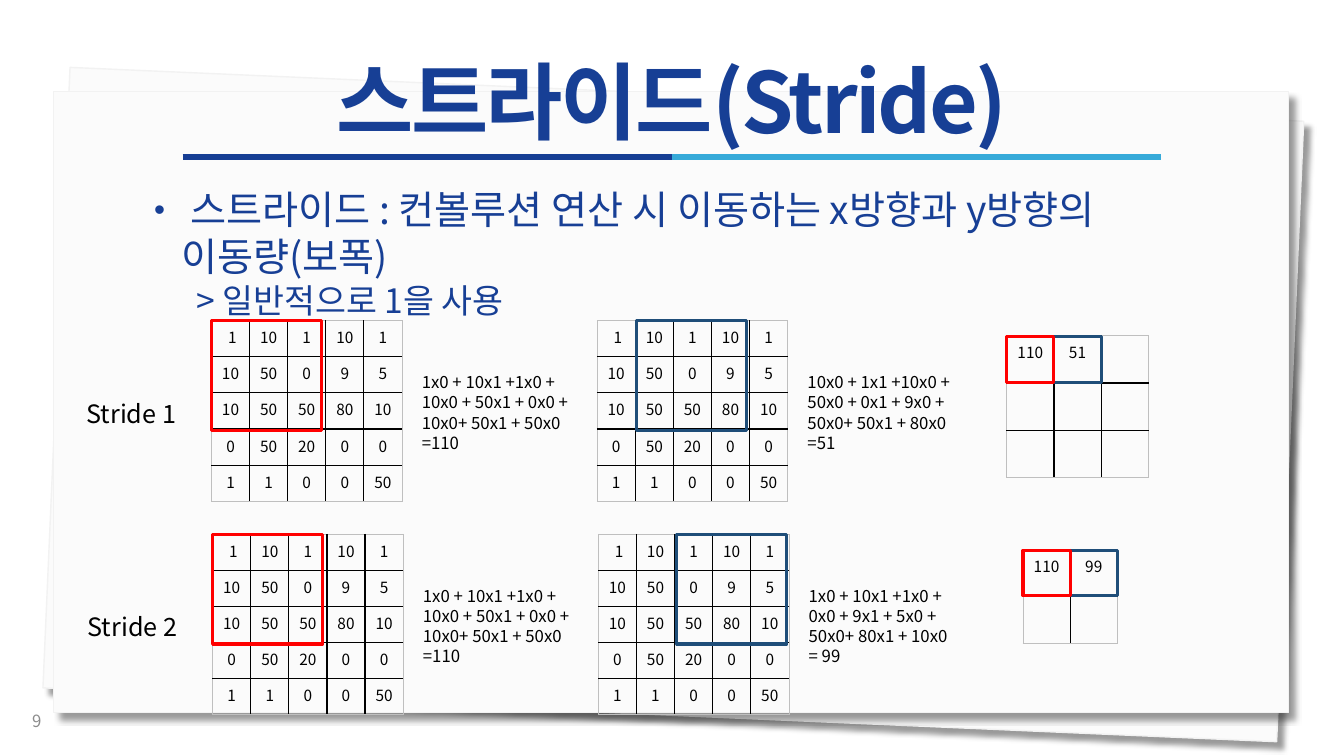
import pptx
import pptx.util
import pptx.dml.color
import pptx.enum.shapes
import pptx.enum.text
import pptx.oxml
import pptx.oxml.ns

Cm, Pt = pptx.util.Cm, pptx.util.Pt
ALIGN, ANCHOR = pptx.enum.text.PP_ALIGN, pptx.enum.text.MSO_ANCHOR
FONT = "Noto Sans CJK KR"
NAVY, SKY, BLACK, RED, STEEL = "173F95", "36AAD9", "000000", "FF0000", "1F4E79"
NS = pptx.oxml.ns.nsdecls("a")

PIXELS = [[" 1", 10, 1, 10, 1],
          [10, 50, 0, 9, 5],
          [10, 50, 50, 80, 10],
          [0, 50, 20, 0, 0],
          [1, 1, 0, 0, 50]]
FIRST_SUM = ["1x0 + 10x1 +1x0 +", "10x0 + 50x1 + 0x0 +", "10x0+ 50x1 + 50x0", "=110"]
STRIDE_1_SUM = ["10x0 + 1x1 +10x0 +", "50x0 + 0x1 + 9x0 +", "50x0+ 50x1 + 80x0", "=51"]
STRIDE_2_SUM = ["1x0 + 10x1 +1x0 +", "0x0 + 9x1 + 5x0 +", "50x0+ 80x1 + 10x0", "= 99"]


def color(value):
    return pptx.dml.color.RGBColor.from_string(value)


def write(p, text, size=12, fill=BLACK, bold=False, align=None, spacing=1.0):
    p.alignment, p.line_spacing = align, spacing
    p.space_before = p.space_after = Pt(0)
    r = p.add_run()
    r.text = text
    r.font.name, r.font.size, r.font.bold = FONT, Pt(size), bold
    r.font.color.rgb = color(fill)
    r._r.get_or_add_rPr().append(pptx.oxml.parse_xml(f'<a:ea {NS} typeface="{FONT}"/>'))
    return r


def add_text(s, x, y, w, h, lines, anchor=ANCHOR.TOP, **fmt):
    tf = s.shapes.add_textbox(Cm(x), Cm(y), Cm(w), Cm(h)).text_frame
    tf.word_wrap, tf.vertical_anchor = True, anchor
    for i, line in enumerate(lines):
        write(tf.add_paragraph() if i else tf.paragraphs[0], line, **fmt)


def add_frame(s, x, y, w, h, line, weight=2.25, fill=None):
    sp = s.shapes.add_shape(pptx.enum.shapes.MSO_SHAPE.RECTANGLE, Cm(x), Cm(y), Cm(w), Cm(h))
    sp.shadow.inherit = False
    if fill:
        sp.fill.solid()
        sp.fill.fore_color.rgb = color(fill)
    else:
        sp.fill.background()
    sp.line.color.rgb, sp.line.width = color(line), Pt(weight)
    return sp


def place(sp, x, y, w, h):
    """Moves a placeholder into its box, in front of the backdrop."""
    sp.left, sp.top, sp.width, sp.height = Cm(x), Cm(y), Cm(w), Cm(h)
    sp.element.getparent().append(sp.element)
    tf = sp.text_frame
    tf.auto_size = pptx.enum.text.MSO_AUTO_SIZE.NONE
    tf.word_wrap, tf.vertical_anchor = True, ANCHOR.TOP
    return tf


def backdrop(s, x, y, w, h):
    # Two stacked sheets of paper, the lower one turned
    for shift, angle in ((0.06, 2.5), (0, 0)):
        sp = add_frame(s, x + shift, y + shift, w, h, "F2F2F2", 1, "FBFBFB")
        sp.rotation = angle
        effects = sp._element.spPr.find(pptx.oxml.ns.qn("a:effectLst"))
        effects.append(pptx.oxml.parse_xml(
            f'<a:outerShdw {NS} blurRad="{Pt(4)}" dist="{Pt(7)}" dir="2700000" algn="tl" '
            f'rotWithShape="0"><a:srgbClr val="{BLACK}"><a:alpha val="40000"/></a:srgbClr>'
            '</a:outerShdw>'))


def heading(s, x, y, w, h):
    # Two-tone rule under the title
    half = 12.33
    for i, tone in enumerate(("163E94", SKY)):
        left = x + w / 2 + (i - 1) * half
        rule = s.shapes.add_connector(pptx.enum.shapes.MSO_CONNECTOR.STRAIGHT,
                                      Cm(left), Cm(y + 2.54), Cm(left + half), Cm(y + 2.54))
        rule.line.color.rgb, rule.line.width = color(tone), Pt(4.5)
        rule._element.spPr.append(pptx.oxml.parse_xml(f"<a:effectLst {NS}/>"))
    # Title
    tf = place(s.shapes.title, x, y, w, h)
    r = write(tf.paragraphs[0], "스트라이드(Stride)", size=60, fill=NAVY, bold=True,
              align=ALIGN.CENTER, spacing=0.9)
    r._r.get_or_add_rPr().set("spc", "-190")


def definition(s, x, y, w, h):
    tf = place(s.placeholders[1], x, y, w, h)
    lines = ((" 스트라이드 : 컨볼루션 연산 시 이동하는 x방향과 y방향의 이동량(보폭)", 28, 0.74, -0.69,
              ('<a:buSzPct {} val="80000"/>', '<a:buFont {} typeface="Arial"/>',
               '<a:buChar {} char="•"/>')),
             ("> 일반적으로 1을 사용", 24, 1.12, 0, ("<a:buNone {}/>",)))
    for i, (text, size, margin, indent, bullet) in enumerate(lines):
        p = tf.add_paragraph() if i else tf.paragraphs[0]
        write(p, text, size=size, fill=NAVY, align=ALIGN.LEFT)
        pPr = p._p.get_or_add_pPr()
        pPr.set("marL", str(Cm(margin)))
        pPr.set("indent", str(Cm(indent)))
        for part in bullet:
            pPr.append(pptx.oxml.parse_xml(part.format(NS)))


def set_borders(cell, outer):
    """Black lines inside the grid, thin grey ones on its outer sides."""
    tcPr = cell._tc.get_or_add_tcPr()
    for i, side in enumerate("LRTB"):
        tone, weight = ("BFBFBF", 0.5) if side in outer else (BLACK, 1)
        tcPr.insert(i, pptx.oxml.parse_xml(
            f'<a:ln{side} {NS} w="{Pt(weight)}"><a:solidFill><a:srgbClr val="{tone}"/>'
            f'</a:solidFill></a:ln{side}>'))


def add_grid(s, x, y, cell_w, cell_h, rows):
    n = len(rows)
    table = s.shapes.add_table(n, n, Cm(x), Cm(y), Cm(cell_w * n), Cm(cell_h * n)).table
    table.first_row = table.horz_banding = False
    for i, row in enumerate(rows):
        table.rows[i].height, table.columns[i].width = Cm(cell_h), Cm(cell_w)
        for j, value in enumerate(row):
            cell = table.cell(i, j)
            cell.fill.background()
            write(cell.text_frame.paragraphs[0], str(value), size=11, align=ALIGN.CENTER)
            sides = zip("LRTB", (j == 0, j == n - 1, i == 0, i == n - 1))
            set_borders(cell, [side for side, edge in sides if edge])


def stride_row(s, x, y, stride, second_sum, results, result_x):
    add_text(s, x - 3.4, y + 1.82, 4.95, 1.02, [f"Stride {stride}"], size=18)
    # Input grids with the window at its first and second stop
    steps = ((0, 0, RED, FIRST_SUM), (9.72, stride, STEEL, second_sum))
    for shift, step, tone, lines in steps:
        add_grid(s, x + shift, y, 0.96, 0.91, PIXELS)
        add_frame(s, x + shift + step * 0.99, y, 2.77, 2.77, tone)
        add_text(s, x + shift + 5.05, y + 1.17, 4.78, 2.3, lines)
    # Output grid with both results framed
    n = 4 - stride
    rows = [[results[j] if i == 0 and j < 2 else "" for j in range(n)] for i in range(n)]
    add_grid(s, x + result_x, y + 0.38, 1.19, 1.19, rows)
    for j, tone in ((1, STEEL), (0, RED)):
        add_frame(s, x + result_x + j * 1.19, y + 0.41, 1.19, 1.14, tone)


def main():
    prs = pptx.Presentation()
    prs.slide_width, prs.slide_height = Cm(33.87), Cm(19.05)
    s = prs.slides.add_slide(prs.slide_layouts[1])
    backdrop(s, 1.35, 2.31, 31.12, 15.65)
    heading(s, 0, 1.42, 33.87, 2.29)
    add_text(s, 0.56, 17.65, 7.62, 1.02, ["9"], anchor=ANCHOR.MIDDLE, fill="8C8C8C")
    definition(s, 3.58, 4.55, 26.9, 2.49)
    stride_row(s, 5.33, 8.08, 1, STRIDE_1_SUM, (110, 51), 20.04)
    stride_row(s, 5.36, 13.46, 2, STRIDE_2_SUM, (110, 99), 20.42)
    prs.save("out.pptx")


if __name__ == "__main__":
    main()
